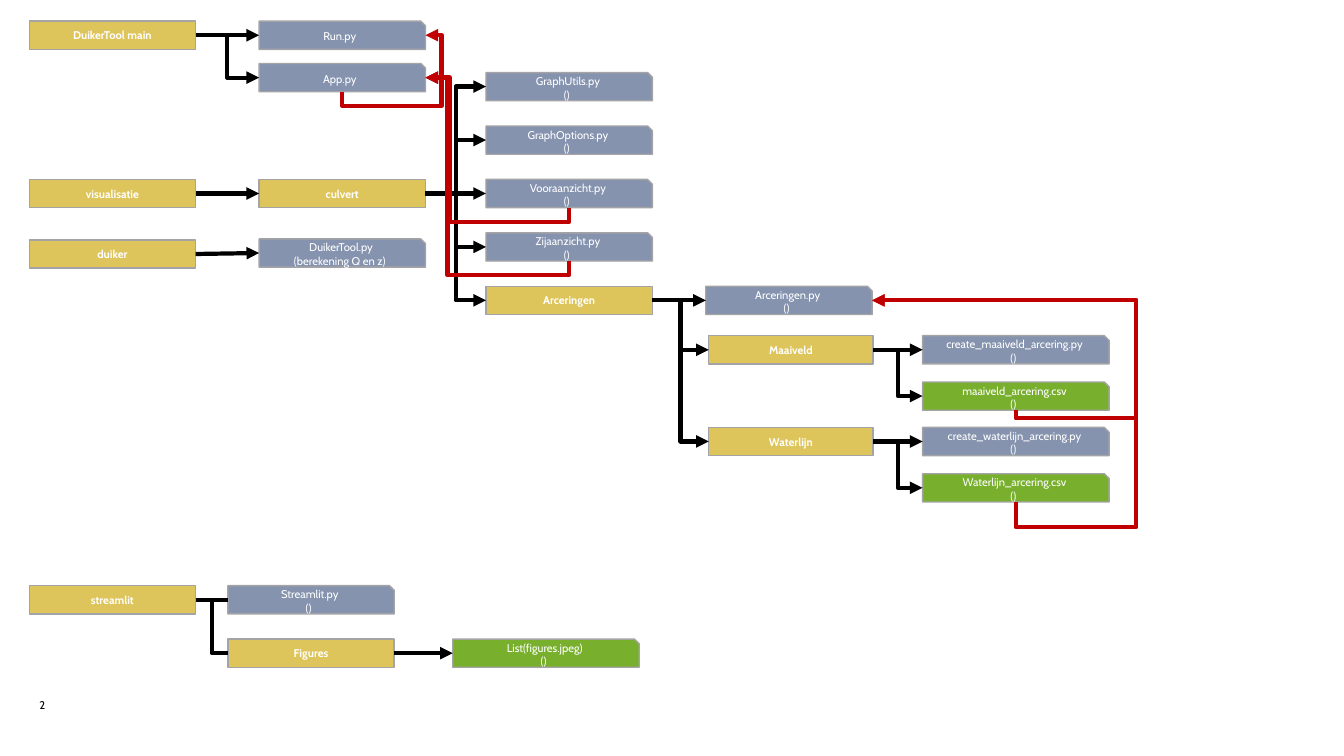
from lxml import etree
from pptx import Presentation
from pptx import util as u
from pptx.dml.color import RGBColor
from pptx.enum import shapes, text
from pptx.oxml.ns import qn

SCALE = 9144
FONT = "Cabin"
WHITE = RGBColor(0xFF, 0xFF, 0xFF)
BLACK = RGBColor(0, 0, 0)
RED = RGBColor(0xC0, 0, 0)
GOLD = RGBColor(0xDE, 0xC5, 0x5B)
BLUE = RGBColor(0x85, 0x93, 0xAF)
GREEN = RGBColor(0x78, 0xB0, 0x2D)
GREY = RGBColor(0xA4, 0xA4, 0xA6)
NODE_HEIGHT = 28
NODE_WIDTH = 165
FOLDER_WIDTH = 163
WIDE_WIDTH = 185


def px(length):
    """Turn px into EMU."""
    return u.Emu(round(length * SCALE))


def add_span(para, wording, color, bold=False):
    """Add one formatted run to a paragraph."""
    span = para.add_run()
    span.text = wording
    span.font.name = FONT
    span.font.size = u.Pt(8)
    span.font.bold = bold
    span.font.color.rgb = color


def add_node(page, area, left, top, lines, fill=BLUE, width=NODE_WIDTH):
    """Add a folder (gold) or a file (snipped corner) inside an area."""
    folder = fill == GOLD
    kind = shapes.MSO_SHAPE.RECTANGLE if folder else shapes.MSO_SHAPE.SNIP_1_RECTANGLE
    box = page.shapes.add_shape(
        kind, px(area[0] + left), px(area[1] + top), px(width), px(NODE_HEIGHT))
    box.shadow.inherit = False
    box.fill.solid()
    box.fill.fore_color.rgb = fill
    box.line.color.rgb = GREY
    box.line.width = u.Pt(1)
    frame = box.text_frame
    frame.word_wrap = True
    frame.vertical_anchor = text.MSO_ANCHOR.MIDDLE
    frame.margin_left = frame.margin_right = px(8)
    frame.margin_top = frame.margin_bottom = px(4)
    for index, wording in enumerate(lines):
        para = frame.add_paragraph() if index else frame.paragraphs[0]
        para.alignment = text.PP_ALIGN.CENTER
        add_span(para, wording, WHITE, folder)
    return box


def style_line(line, color, arrow=True):
    """Give a connector its colour, weight and arrowhead, without shadow."""
    line.line.color.rgb = color
    line.line.width = u.Pt(3)
    properties = line._element.spPr
    if arrow:
        outline = properties.find(qn("a:ln"))
        etree.SubElement(outline, qn("a:tailEnd"), type="triangle")
    etree.SubElement(properties, qn("a:effectLst"))


def link(page, source, target, arrow=True):
    """Join the right side of one node to the left side of another."""
    start = source.top + source.height // 2
    end = target.top + target.height // 2
    level = abs(end - start) <= px(1)
    kind = shapes.MSO_CONNECTOR.STRAIGHT if level else shapes.MSO_CONNECTOR.ELBOW
    line = page.shapes.add_connector(
        kind, source.left + source.width, start, target.left, end)
    style_line(line, BLACK, arrow)


def loop_back(page, source, target, drop, lane):
    """Lead a red arrow from below a node, up a lane, to the right of a higher node."""
    x1, y1 = source.left + source.width // 2, source.top + source.height
    x2, y2 = target.left + target.width, target.top + target.height // 2
    rise, run = y1 - y2, abs(x2 - x1)
    left, top = (x1 + x2 - rise) // 2, (y1 + y2 - run) // 2
    ends = (top + run, top) if x2 > x1 else (top, top + run)
    line = page.shapes.add_connector(
        shapes.MSO_CONNECTOR.ELBOW, left + rise, ends[0], left, ends[1])
    properties = line._element.spPr
    properties.find(qn("a:xfrm")).set("rot", "5400000")
    geometry = properties.find(qn("a:prstGeom"))
    geometry.set("prst", "bentConnector4")
    guides = geometry.find(qn("a:avLst"))
    shares = (-px(drop) / rise, (px(lane) - x1) / (x2 - x1))
    for number, share in enumerate(shares, 1):
        etree.SubElement(guides, qn("a:gd"), name=f"adj{number}",
                         fmla=f"val {round(share * 100000)}")
    style_line(line, RED)


def add_entry_points(page, area):
    """Draw the main, visualisation and culvert calculation rows."""
    main = add_node(page, area, 0, 0, ["DuikerTool main"], GOLD)
    run = add_node(page, area, 228, 0, ["Run.py "])
    app = add_node(page, area, 228, 42, ["App.py "])
    views = add_node(page, area, 0, 157, ["visualisatie"], GOLD)
    culvert = add_node(page, area, 228, 157, ["culvert"], GOLD)
    duiker = add_node(page, area, 0, 217, ["duiker"], GOLD)
    tool = add_node(page, area, 228, 216, ["DuikerTool.py", "(berekening Q en z) "])
    for source, target in ((main, run), (main, app), (views, culvert), (duiker, tool)):
        link(page, source, target)
    loop_back(page, app, run, 14, 438)
    return app, culvert


def add_culvert_files(page, area, app, culvert):
    """Draw the contents of the culvert folder and their way back to the app."""
    names = ["GraphUtils.py", "GraphOptions.py", "Vooraanzicht.py", "Zijaanzicht.py"]
    files = [add_node(page, area, 0, round(53 * row), [name, "() "])
             for row, name in enumerate(names)]
    hatching = add_node(page, area, 0, 212, ["Arceringen"], GOLD)
    for target in files + [hatching]:
        link(page, culvert, target)
    for source, lane in zip(files[2:], (446, 444)):
        loop_back(page, source, app, 14, lane)
    return hatching


def add_hatching(page, area, hatching):
    """Draw the hatching script, its two folders and their files."""
    script = add_node(page, area, 0, 0, ["Arceringen.py", "() "])
    link(page, hatching, script)
    groups = (("Maaiveld", "create_maaiveld_arcering.py", "maaiveld_arcering.csv", 8),
              ("Waterlijn", "create_waterlijn_arcering.py", "Waterlijn_arcering.csv", 25))
    for row, (name, maker, table, drop) in enumerate(groups):
        top = 49 + 91 * row
        folder = add_node(page, area, 3, top, [name], GOLD, FOLDER_WIDTH)
        code = add_node(page, area, 215, top, [maker, "() "], BLUE, WIDE_WIDTH)
        data = add_node(page, area, 215, top + 46, [table, "() "], GREEN, WIDE_WIDTH)
        link(page, hatching, folder)
        link(page, folder, code)
        link(page, folder, data)
        loop_back(page, data, script, drop, area[0] + 427)


def add_streamlit(page, area):
    """Draw the streamlit folder with its script and figures."""
    root = add_node(page, area, 0, 0, ["streamlit"], GOLD)
    script = add_node(page, area, 197, 0, ["Streamlit.py", "() "])
    figures = add_node(page, area, 197, 53, ["Figures"], GOLD)
    images = add_node(page, area, 420, 53, ["List(figures.jpeg)", "() "], GREEN, WIDE_WIDTH)
    link(page, root, script, False)
    link(page, root, figures, False)
    link(page, figures, images)


def add_page_number(page, area):
    """Write the page number at the foot."""
    box = page.shapes.add_textbox(*(px(length) for length in area))
    frame = box.text_frame
    frame.word_wrap = True
    frame.vertical_anchor = text.MSO_ANCHOR.BOTTOM
    frame.margin_left = frame.margin_right = frame.margin_top = frame.margin_bottom = 0
    add_span(frame.paragraphs[0], "2", BLACK)


def main():
    """Build the deck and save it."""
    deck = Presentation()
    deck.slide_width, deck.slide_height = px(1333), px(750)
    page = deck.slides.add_slide(deck.slide_layouts[6])
    add_page_number(page, (39, 700, 22, 6))
    app, culvert = add_entry_points(page, (29, 21))
    hatching = add_culvert_files(page, (482, 72), app, culvert)
    add_hatching(page, (700, 284), hatching)
    add_streamlit(page, (29, 581))
    deck.save("out.pptx")


if __name__ == "__main__":
    main()
